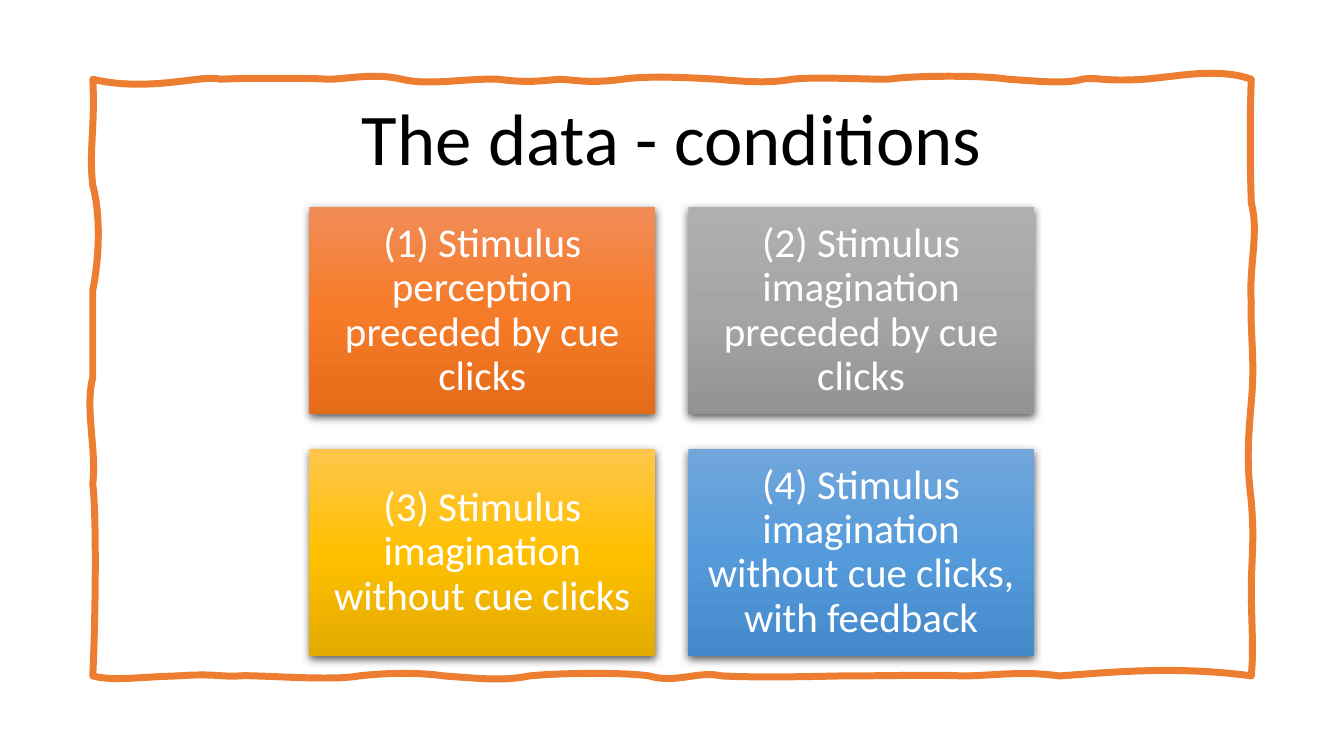
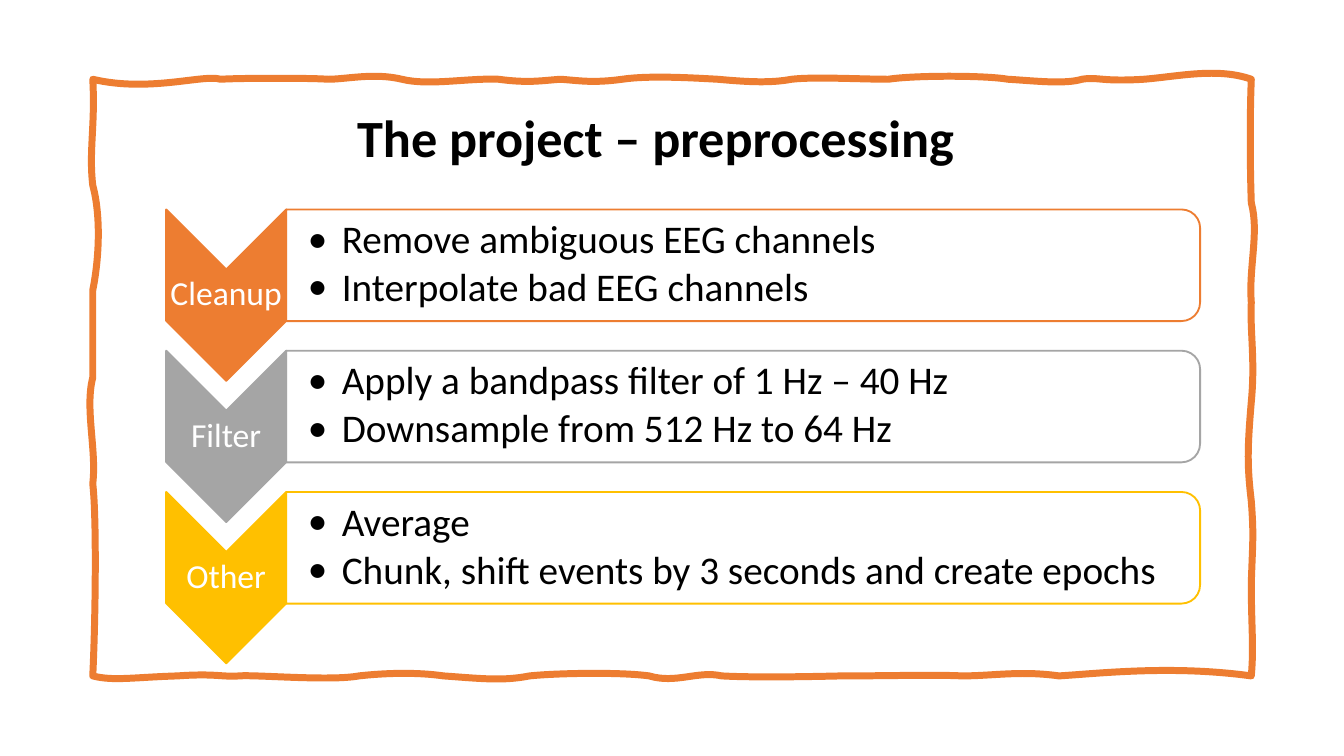
from copy import deepcopy
from dataclasses import dataclass

from lxml.etree import Element, SubElement
from pptx import Presentation
from pptx.dml.color import RGBColor
from pptx.enum.shapes import MSO_SHAPE as Preset
from pptx.enum.text import MSO_ANCHOR as Anchor, MSO_AUTO_SIZE as AutoSize, PP_ALIGN as Align
from pptx.oxml.ns import qn
from pptx.util import Cm, Pt


@dataclass(frozen=True)
class Theme:
    font: str = "Calibri"
    black: str = "000000"
    white: str = "FFFFFF"
    orange: str = "ED7D31"
    gray: str = "A5A5A5"
    gold: str = "FFC000"
    heading: int = 39
    subheading: int = 28
    tile: int = 22
    body: int = 21
    label: int = 18


theme = Theme()


def write_text(shape, *lines, size, color=theme.black, bold=False, align=Align.CENTER,
               insets=(0.25, 0.13, 0.25, 0.13), bullet=None, space_after=0):
    """Fill a shape with one paragraph per line; insets are left, top, right, bottom in cm."""
    frame = shape.text_frame
    frame.word_wrap = True
    frame.auto_size = AutoSize.NONE
    frame.vertical_anchor = Anchor.MIDDLE
    frame.margin_left, frame.margin_top, frame.margin_right, frame.margin_bottom = map(Cm, insets)
    for index, line in enumerate(lines):
        paragraph = frame.add_paragraph() if index else frame.paragraphs[0]
        if bullet:
            properties = paragraph._p.get_or_add_pPr()
            properties.set("marL", str(Cm(0.64)))
            properties.set("indent", str(-Cm(0.64)))
            SubElement(properties, qn("a:buFont"), typeface=theme.font)
            SubElement(properties, qn("a:buChar"), char=bullet)
        paragraph.alignment = align
        paragraph.line_spacing = 0.9
        paragraph.space_after = Pt(space_after)
        run = paragraph.add_run()
        run.text = line
        run.font.name = theme.font
        run.font.size = Pt(size)
        run.font.bold = bold
        run.font.color.rgb = RGBColor.from_string(color)


def add_turned(slide, preset, left, top, width, height, fill, line):
    """Add a shape turned by 90 degrees that covers the given box, in cm."""
    shift = (width - height) / 2
    shape = slide.shapes.add_shape(preset, Cm(left + shift), Cm(top - shift), Cm(height), Cm(width))
    shape.rotation = 90
    shape.shadow.inherit = False
    shape.fill.solid()
    shape.fill.fore_color.rgb = RGBColor.from_string(fill)
    shape.line.color.rgb = RGBColor.from_string(line)
    shape.line.width = Pt(1)
    return shape


presentation = Presentation()
presentation.slide_width, presentation.slide_height = Cm(25.4), Cm(14.29)

# Hand-drawn frame, in hundredths of an inch. Each edge has a base line and curves:
# position and offset of two control points, then the position of the end.
LEFT, TOP, RIGHT, BOTTOM = 69, 59, 931, 503
FRAME_EDGES = [
    ("horizontal", BOTTOM, [
        (84, 4, 100, 1, 132), (161, -2, 165, 1, 178), (190, -1, 246, 4, 267),
        (285, -2, 309, -3, 330), (358, 2, 374, 4, 394), (413, -2, 461, -3, 483),
        (503, 6, 519, -4, 537), (555, 1, 585, 1, 626), (666, 0, 693, -1, 716),
        (739, 0, 759, -4, 788), (820, -2, 872, -8, RIGHT)]),
    ("vertical", RIGHT, [
        (481, 2, 467, 0, 434), (403, 1, 399, 2, 373), (347, -3, 335, -3, 299),
        (268, 3, 247, -1, 225), (199, -2, 173, 6, 151), (121, -1, 84, -1, TOP)]),
    ("horizontal", TOP, [
        (906, -9, 876, -2, 851), (819, 2, 817, -2, 805), (792, 4, 768, 1, 750),
        (733, -3, 680, -3, 661), (641, 0, 606, -2, 589), (573, 3, 556, 2, 534),
        (516, -1, 483, -3, 463), (441, 3, 431, 1, 417), (403, 1, 393, 3, 371),
        (348, -1, 319, 5, 299), (278, -5, 258, 0, 244), (232, -1, 180, -1, 164),
        (152, -4, 111, 10, LEFT)]),
    ("vertical", LEFT, [
        (93, 2, 112, -3, 138), (160, 6, 191, 5, 216), (233, 0, 260, 0, 281),
        (304, -6, 335, 3, 360), (386, 3, 463, 2, BOTTOM)]),
]
frame_curves = []
for direction, base, curves in FRAME_EDGES:
    for first, first_offset, second, second_offset, end in curves:
        points = [(first, base + first_offset), (second, base + second_offset), (end, base)]
        if direction == "vertical":
            points = [(across, along) for along, across in points]
        frame_curves.append(points)

slides = []
for title, box, title_format in [
    ("The data - conditions", (1.75, 1.5, 21.89, 2.36), dict(size=theme.heading)),
    ("The project – preprocessing", (6.5, 1.85, 11.84, 1.6),
     dict(size=theme.subheading, bold=True, align=Align.LEFT, insets=(0.25,) * 4)),
]:
    slide = presentation.slides.add_slide(presentation.slide_layouts[5])
    builder = slide.shapes.build_freeform(LEFT, BOTTOM, scale=Cm(2.54) / 100)
    builder.add_line_segments([points[-1] for points in frame_curves], close=True)
    border = builder.convert_to_shape()
    segments = list(border._element.iter(qn("a:lnTo")))
    for segment, points in zip(segments, frame_curves):
        segment.tag = qn("a:cubicBezTo")
        for index, (x, y) in enumerate(points[:2]):
            segment.insert(index, Element(qn("a:pt"), x=str(x - LEFT), y=str(y - TOP)))
    border.shadow.inherit = False
    border.fill.background()
    border.line.color.rgb = RGBColor.from_string(theme.orange)
    border.line.width = Pt(3.75)
    heading = slide.shapes.title
    heading._element.addprevious(border._element)
    heading.left, heading.top, heading.width, heading.height = map(Cm, box)
    write_text(heading, title, **title_format)
    slides.append(slide)
conditions_slide, preprocessing_slide = slides

# Conditions: a grid of two by two tiles
CONDITIONS = [
    ("(1) Stimulus perception preceded by cue clicks", ("F18C57", "F67B28", "E56C19")),
    ("(2) Stimulus imagination preceded by cue clicks", ("AFAFAF", "A5A5A5", "939393")),
    ("(3) Stimulus imagination without cue clicks", ("FFC64B", "FFC000", "E3AB00")),
    ("(4) Stimulus imagination without cue clicks, with feedback", ("71A6DB", "559BDB", "448ACA")),
]
for index, (condition, colors) in enumerate(CONDITIONS):
    row, column = divmod(index, 2)
    tile = conditions_slide.shapes.add_shape(
        Preset.RECTANGLE, Cm(5.85 + 7.16 * column), Cm(3.92 + 4.57 * row), Cm(6.53), Cm(3.91))
    tile.line.fill.background()
    tile.fill.gradient()
    tile.fill.gradient_angle = 270
    properties = tile._element.spPr
    stop_list = properties.find(qn("a:gradFill")).find(qn("a:gsLst"))
    stop_list.append(deepcopy(stop_list[-1]))
    for stop, position, color in zip(tile.fill.gradient_stops, (0, 0.5, 1), colors):
        stop.position = position
        stop.color.rgb = RGBColor.from_string(color)
    tile.shadow.inherit = False
    shadow = SubElement(properties.find(qn("a:effectLst")), qn("a:outerShdw"), blurRad=str(Pt(4.5)),
                        dist=str(Pt(1.5)), dir="5400000", algn="ctr", rotWithShape="0")
    shadow_color = SubElement(shadow, qn("a:srgbClr"), val=theme.black)
    SubElement(shadow_color, qn("a:alpha"), val="63000")
    write_text(tile, condition, size=theme.tile, color=theme.white, insets=(0.23,) * 4)

# Preprocessing: a chevron and a bar for each stage
STAGES = [
    ("Cleanup", theme.orange, ("Remove ambiguous EEG channels", "Interpolate bad EEG channels")),
    ("Filter", theme.gray, ("Apply a bandpass filter of 1 Hz – 40 Hz", "Downsample from 512 Hz to 64 Hz")),
    ("Other", theme.gold, ("Average", "Chunk, shift events by 3 seconds and create epochs")),
]
for index, (stage, color, tasks) in enumerate(STAGES):
    top = 3.96 + 2.67 * index
    add_turned(preprocessing_slide, Preset.CHEVRON, 3.14, top, 2.27, 3.24, color, color)
    label = preprocessing_slide.shapes.add_textbox(Cm(3.14), Cm(top + 1.13), Cm(2.27), Cm(0.97))
    write_text(label, stage, size=theme.label, color=theme.white, insets=(0.03,) * 4)
    bar = add_turned(preprocessing_slide, Preset.ROUND_2_SAME_RECTANGLE, 5.41, top, 17.27, 2.11,
                     theme.white, color)
    bar_color = bar._element.spPr.find(qn("a:solidFill"))[0]
    SubElement(bar_color, qn("a:alpha"), val="90000")
    task_box = preprocessing_slide.shapes.add_textbox(Cm(5.41), Cm(top + 0.1), Cm(17.17), Cm(1.9))
    write_text(task_box, *tasks, size=theme.body, align=Align.LEFT, bullet="•", space_after=3,
               insets=(0.41, 0.03, 0.03, 0.03))

presentation.save("out.pptx")
